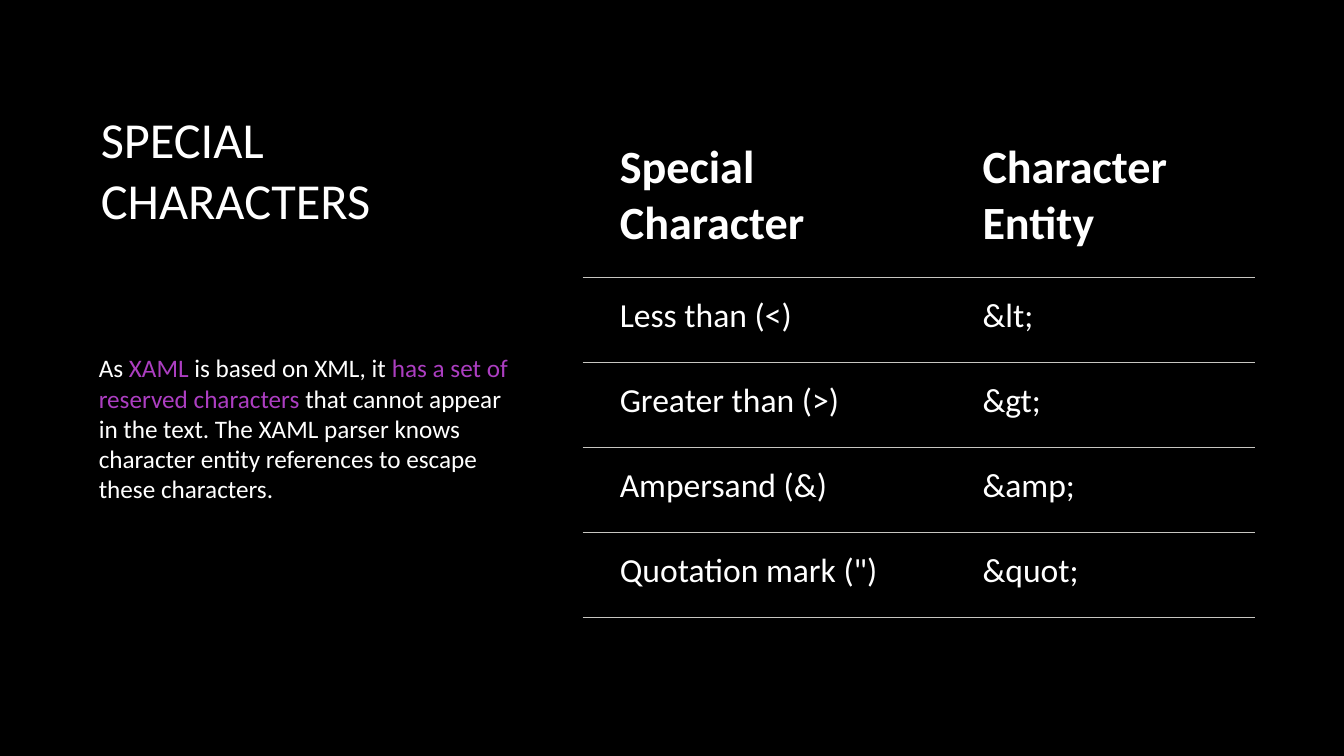
from lxml import etree
from pptx import Presentation
from pptx.dml.color import RGBColor
from pptx.enum import text
from pptx.oxml import parse_xml
from pptx.oxml.ns import nsdecls
from pptx.util import Cm, Pt

WHITE, PURPLE, GREY, BLACK = "FFFFFF", "AC3EC1", "C7C6C1", "000000"
PLAIN = "{2D5ABB26-0587-4C30-8999-92F81FD0307C}"


def paint(color, code):
    color.rgb = RGBColor.from_string(code)


def write(para, words, size, code=WHITE, bold=False):
    run = para.add_run()
    run.text = words
    for key, value in {"name": "Calibri", "size": Pt(size), "bold": bold}.items():
        setattr(run.font, key, value)
    paint(run.font.color, code)


# Slide
deck = Presentation()
deck.slide_width, deck.slide_height = Cm(33.87), Cm(19.05)
slide = deck.slides.add_slide(deck.slide_layouts[6])
slide.background.fill.solid()
paint(slide.background.fill.fore_color, BLACK)

# Title and body text
title = [("SPECIAL CHARACTERS", WHITE)]
body = [
    ("As ", WHITE),
    ("XAML", PURPLE),
    (" is based on XML, it ", WHITE),
    ("has a set of reserved characters", PURPLE),
    (" that cannot appear in the text. The XAML parser knows character "
     "entity references to escape these characters.", WHITE),
]
for left, top, width, height, size, parts in [
    (2.29, 2.24, 11.05, 4.04, 36, title),
    (2.24, 6.27, 11.13, 9.05, 18, body),
]:
    box = slide.shapes.add_textbox(Cm(left), Cm(top), Cm(width), Cm(height))
    frame = box.text_frame
    frame.word_wrap = True
    frame.vertical_anchor = text.MSO_ANCHOR.MIDDLE
    for words, code in parts:
        write(frame.paragraphs[0], words, size, code)

# Table of characters
rows = [
    ("Special Character", "Character Entity"),
    ("Less than (<)", "&lt;"),
    ("Greater than (>)", "&gt;"),
    ("Ampersand (&)", "&amp;"),
    ('Quotation mark (")', "&quot;"),
]
widths = [9.14, 7.8]
heights = [3.95] + [2.14] * 4
table = slide.shapes.add_table(
    len(rows), len(widths), Cm(14.68), Cm(3.05), Cm(sum(widths)), Cm(sum(heights))
).table
table.horz_banding = False
table._tbl.tblPr.find("{*}tableStyleId").text = PLAIN
for col, width in zip(table.columns, widths):
    col.width = Cm(width)

insets = {"margin_left": Cm(0.94), "margin_top": Cm(0.46),
          "margin_right": Cm(0.71), "margin_bottom": Cm(0.46)}
for r, row in enumerate(rows):
    table.rows[r].height = Cm(heights[r])
    for c, words in enumerate(row):
        cell = table.cell(r, c)
        for key, value in insets.items():
            setattr(cell, key, value)
        cell.fill.background()
        write(cell.text_frame.paragraphs[0], words, 24 if r else 33, bold=r == 0)
        # Rule below the row
        rule = parse_xml(
            f'<a:lnB {nsdecls("a")} w="{Pt(0.75)}"><a:solidFill>'
            f'<a:srgbClr val="{GREY}"/></a:solidFill></a:lnB>'
        )
        cell._tc.get_or_add_tcPr().insert(0, rule)

deck.save("out.pptx")
